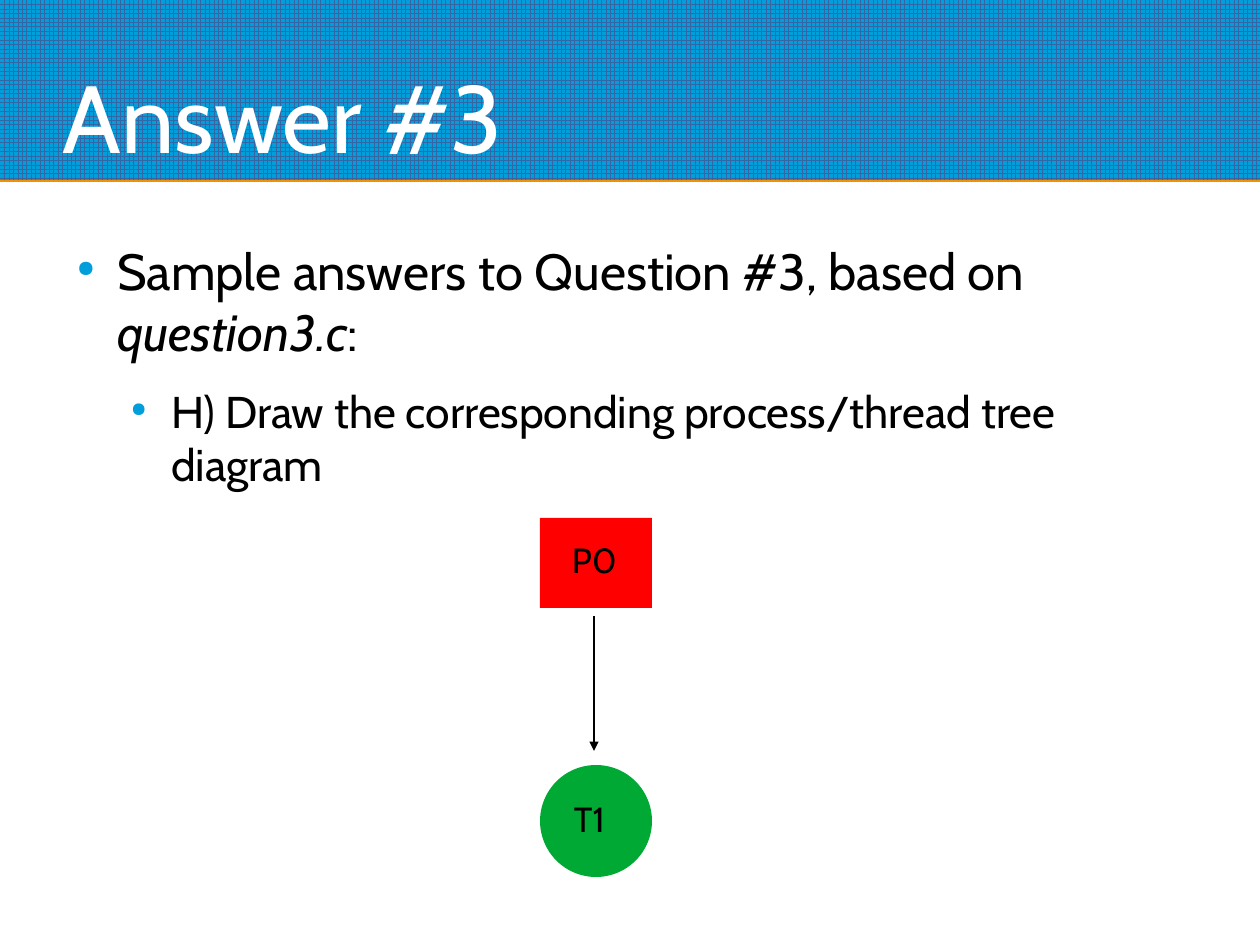
import lxml.etree
import pptx
import pptx.dml.color
import pptx.enum.dml
import pptx.enum.shapes
import pptx.enum.text
import pptx.oxml
import pptx.oxml.ns
import pptx.util

PX = 8000  # EMU
FONT = "Cabin"
COLORS = {
    "band": "009EDA", "grid": "3465A4", "edge": "F49100",
    "title": "FFFFFF", "text": "000000",
    "process": "FF0000", "thread": "00A933",
}
SHAPES = pptx.enum.shapes.MSO_SHAPE
ANCHORS = pptx.enum.text.MSO_ANCHOR


def color(name):
    return pptx.dml.color.RGBColor.from_string(COLORS[name])


def scale(*lengths):
    return [length * PX for length in lengths]


def add_node(parent, tag, **values):
    node = lxml.etree.SubElement(parent, pptx.oxml.ns.qn(tag))
    for key, value in values.items():
        node.set(key, value)
    return node


def add_shape(slide, kind, box, fill):
    shape = slide.shapes.add_shape(kind, *scale(*box))
    shape.shadow.inherit = False
    shape.line.fill.background()
    shape.fill.solid()
    shape.fill.fore_color.rgb = color(fill)
    return shape


def add_band(slide, box):
    """Add the gridded title band with its thin lower edge."""
    left, top, width, height = box
    add_shape(slide, SHAPES.RECTANGLE, (left, top + height, width, 2), "edge")
    fill = add_shape(slide, SHAPES.RECTANGLE, box, "band").fill
    fill.patterned()
    fill.pattern = pptx.enum.dml.MSO_PATTERN.LARGE_GRID
    fill.fore_color.rgb = color("grid")
    fill.back_color.rgb = color("band")


def add_frame(slide, box, anchor, inset=0):
    frame = slide.shapes.add_textbox(*scale(*box)).text_frame
    form = {"word_wrap": True, "vertical_anchor": anchor}
    for side in ("left", "top", "right", "bottom"):
        form["margin_" + side] = inset * PX
    for key, value in form.items():
        setattr(frame, key, value)
    return frame


def add_run(para, text, size, ink="text", italic=False):
    run = para.add_run()
    run.text = text
    form = {"name": FONT, "size": pptx.util.Pt(size), "italic": italic}
    for key, value in form.items():
        setattr(run.font, key, value)
    run.font.color.rgb = color(ink)


def add_bullet(para, level, after):
    """Give a paragraph its level, hanging indent, gap and bullet."""
    para.level = level
    para.space_after = pptx.util.Pt(after)
    props = para._p.get_or_add_pPr()
    props.set("marL", str(54 * (level + 1) * PX))
    props.set("indent", str(-40 * PX))
    tint = add_node(props, "a:buClr")
    add_node(tint, "a:srgbClr", val=COLORS["band"])
    add_node(props, "a:buSzPct", val="45000")
    add_node(props, "a:buChar", char="●")


def add_label(slide, text, box):
    frame = add_frame(slide, box, ANCHORS.MIDDLE, 5)
    add_run(frame.paragraphs[0], text, 22)


def add_arrow(slide, start, end):
    arrow = slide.shapes.add_connector(
        pptx.enum.shapes.MSO_CONNECTOR.STRAIGHT, *scale(*start, *end))
    arrow.line.width = pptx.util.Pt(1.42)
    arrow.line.color.rgb = color("text")
    add_node(arrow.line._get_or_add_ln(), "a:tailEnd", type="triangle")
    add_node(arrow._element.spPr, "a:effectLst")


def main():
    deck = pptx.Presentation()
    deck.slide_width, deck.slide_height = scale(1260, 945)
    slide = deck.slides.add_slide(deck.slide_layouts[6])

    add_band(slide, (0, 0, 1260, 180))
    title = add_frame(slide, (63, 15, 1134, 158), ANCHORS.BOTTOM)
    add_run(title.paragraphs[0], "Answer #3", 60, "title")

    body = add_frame(slide, (63, 240, 1128, 278), ANCHORS.TOP)
    intro, task = body.paragraphs[0], body.add_paragraph()
    add_bullet(intro, 0, 14)
    add_run(intro, "Sample answers to Question #3, based on ", 32)
    add_run(intro, "question3.c", 32, italic=True)
    add_run(intro, ":", 32)
    add_bullet(task, 1, 11.2)
    add_run(task, "H) Draw the corresponding process/thread tree diagram", 28)

    add_shape(slide, SHAPES.RECTANGLE, (540, 518, 112, 90), "process")
    add_arrow(slide, (594, 616), (594, 751))
    add_shape(slide, SHAPES.OVAL, (540, 765, 112, 112), "thread")
    add_label(slide, "P0", (567, 529, 67, 61))
    add_label(slide, "T1", (569, 790, 77, 57))
    deck.save("out.pptx")


if __name__ == "__main__":
    main()
